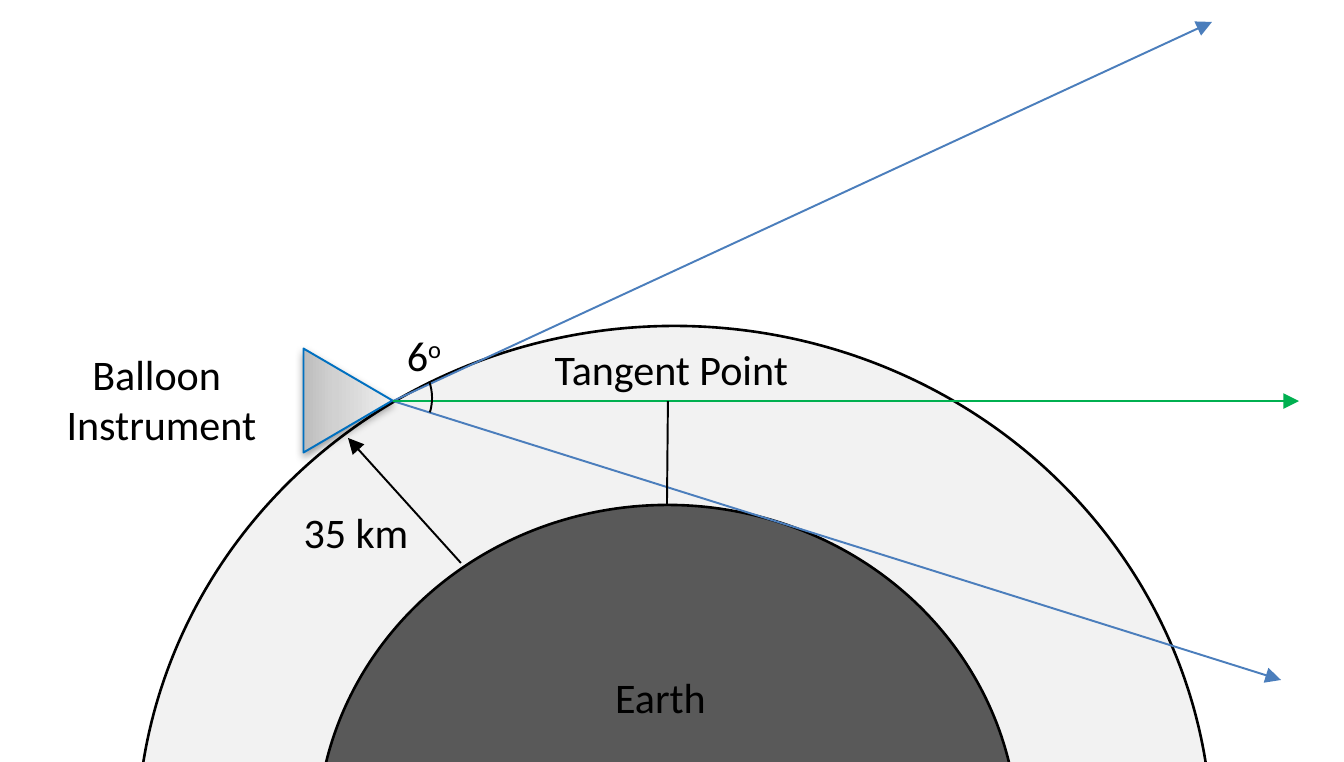
from lxml import etree
from pptx import Presentation
from pptx.dml.color import RGBColor
from pptx.enum.shapes import MSO_CONNECTOR, MSO_SHAPE
from pptx.enum.text import MSO_ANCHOR, PP_ALIGN
from pptx.oxml import parse_xml
from pptx.oxml.ns import qn
from pptx.util import Pt

OVAL, TRIANGLE, ARC = MSO_SHAPE.OVAL, MSO_SHAPE.ISOSCELES_TRIANGLE, MSO_SHAPE.ARC
STRAIGHT, CENTER, TOP = MSO_CONNECTOR.STRAIGHT, PP_ALIGN.CENTER, MSO_ANCHOR.TOP
BLACK = RGBColor(0x00, 0x00, 0x00)
AIR = RGBColor(0xF2, 0xF2, 0xF2)
EARTH = RGBColor(0x59, 0x59, 0x59)
EDGE = RGBColor(0x00, 0x70, 0xC0)
BLUE = RGBColor(0x4B, 0x7E, 0xBC)
GREEN = RGBColor(0x00, 0xB0, 0x50)
NS = 'xmlns:a="http://schemas.openxmlformats.org/drawingml/2006/main"'
PX = 914400 / 189.6


def px(*lengths):
    return [round(n * PX) for n in lengths]


def add_outlined(kind, box, color, width):
    s = shapes.add_shape(kind, *px(*box))
    s.shadow.inherit = False
    s.line.color.rgb = color
    s.line.width = Pt(width)
    return s


prs = Presentation()
prs.slide_width, prs.slide_height = px(1344, 762)
shapes = prs.slides.add_slide(prs.slide_layouts[6]).shapes

# Atmosphere and Earth
for box, color in [((137, 326, 1075, 1030), AIR), ((317, 505, 701, 665), EARTH)]:
    s = add_outlined(OVAL, box, BLACK, 1)
    s.fill.solid()
    s.fill.fore_color.rgb = color

# Balloon instrument, with gradient and soft shadow
s = add_outlined(TRIANGLE, (296, 356, 104, 89), EDGE, 0.75)
s.rotation = 90
stops = "".join(
    f'<a:gs pos="{pos}000"><a:srgbClr val="{color}"/></a:gs>'
    for pos, color in [(0, "BDBDBD"), (35, "D1D1D1"), (100, "EEEEEE")])
s.line._ln.addprevious(parse_xml(
    f'<a:gradFill {NS} rotWithShape="1"><a:gsLst>{stops}</a:gsLst>'
    '<a:lin ang="16200000" scaled="0"/></a:gradFill>'))
s._element.spPr.find(qn("a:effectLst")).append(parse_xml(
    f'<a:outerShdw {NS} blurRad="40000" dist="20000" dir="5400000" rotWithShape="0">'
    '<a:srgbClr val="000000"><a:alpha val="38000"/></a:srgbClr></a:outerShdw>'))

# Lines of sight, altitude arrow and tangent height
for start, end, color, arrow in [
    ((393, 401), (1281, 680), BLUE, True),
    ((393, 401), (1212, 22), BLUE, True),
    ((461, 563), (348, 438), BLACK, True),
    ((393, 401), (1299, 401), GREEN, True),
    ((667, 505), (668, 401), BLACK, False),
]:
    s = shapes.add_connector(STRAIGHT, *px(*start, *end))
    s.line.color.rgb = color
    s.line.width = Pt(0.75)
    if arrow:
        etree.SubElement(s.line._ln, qn("a:tailEnd"), type="triangle")
    etree.SubElement(s._element.spPr, qn("a:effectLst"))

# Viewing angle
s = add_outlined(ARC, (284, 337, 148, 122), BLACK, 0.75)
s.fill.background()
s.adjustments[0] = 208.21
s.adjustments[1] = 6.83

# Labels: each line is a list of text and superscript
for box, lines in [
    ((595, 662, 131, 70), [("Earth", "")]),
    ((47, 339, 229, 121), [("Balloon ", ""), ("Instrument", "")]),
    ((387, 320, 74, 70), [("6", "o")]),
    ((284, 497, 144, 70), [("35 km", "")]),
    ((534, 334, 275, 70), [("Tangent Point", "")]),
]:
    tf = shapes.add_textbox(*px(*box)).text_frame
    tf.word_wrap = False
    tf.vertical_anchor = TOP
    for i, (text, superscript) in enumerate(lines):
        p = tf.add_paragraph() if i else tf.paragraphs[0]
        p.alignment = CENTER
        p.font.name = "Calibri"
        p.font.size = Pt(16)
        p.font.color.rgb = BLACK
        p.add_run().text = text
        if superscript:
            r = p.add_run()
            r.text = superscript
            r.font._element.set("baseline", "30000")

prs.save("out.pptx")
